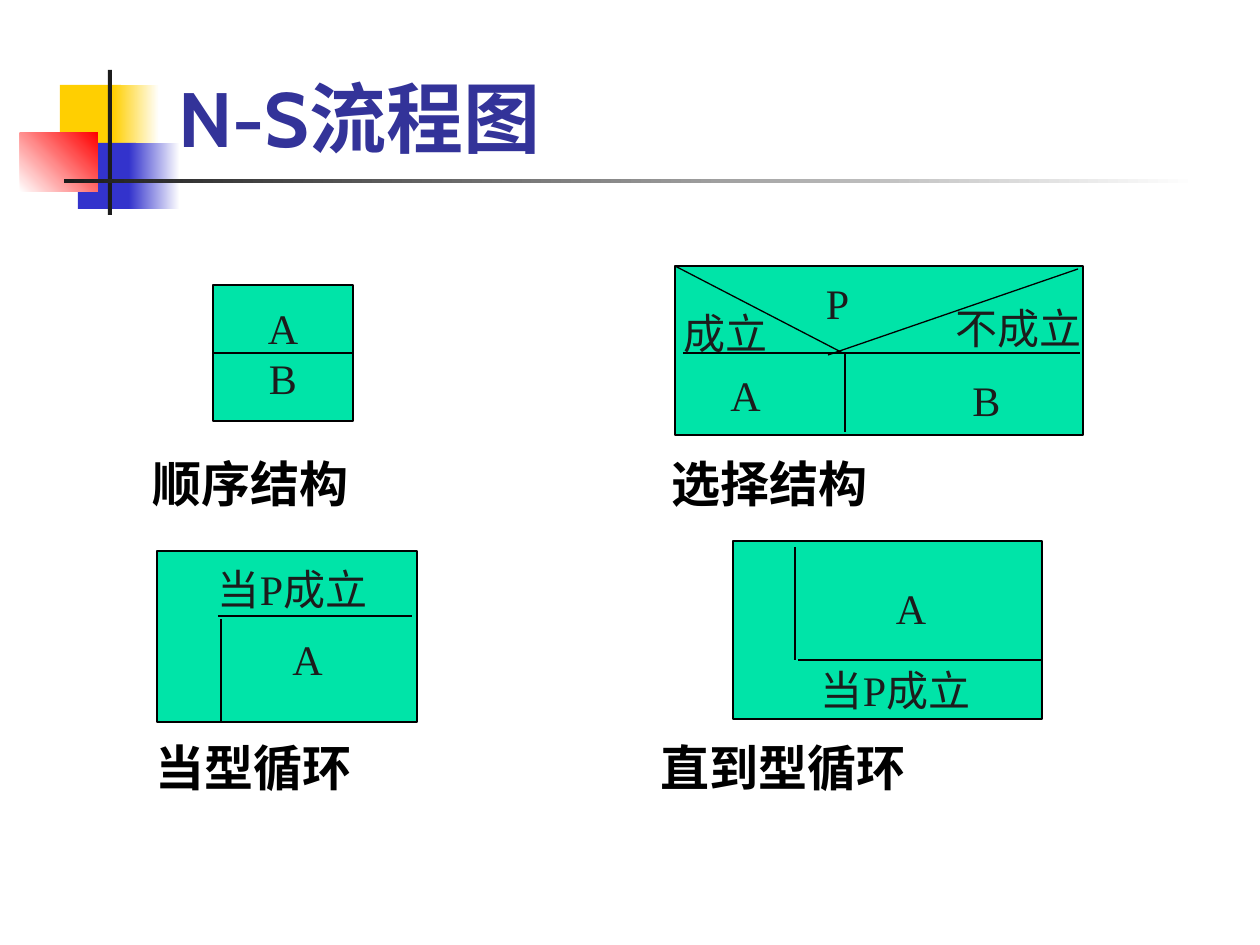
from pptx import Presentation
from pptx.dml.color import RGBColor
from pptx.enum.shapes import MSO_CONNECTOR, MSO_SHAPE
from pptx.enum.text import MSO_ANCHOR, PP_ALIGN
from pptx.util import Emu, Pt
from lxml.etree import SubElement
from pptx.oxml.ns import qn

SCALE = 914400 / 126
hue = RGBColor.from_string
deck = Presentation()
deck.slide_width, deck.slide_height = Emu(9144000), Emu(6858000)
slide = deck.slides.add_slide(deck.slide_layouts[6])
shapes = slide.shapes


def px(*sizes):
    return [Emu(round(size * SCALE)) for size in sizes]


def write(frame, lines, size, font, color, bold=False, align=PP_ALIGN.LEFT):
    for i, line in enumerate(lines):
        para = frame.paragraphs[0] if i == 0 else frame.add_paragraph()
        para.alignment = align
        run = para.add_run()
        run.text = line
        run.font.size = Pt(size)
        run.font.name = font
        run.font.bold = bold
        run.font.color.rgb = hue(color)


decor = [
    (60, 85, 61, 66, ["FFCF01"], 0),
    (113, 85, 46, 66, ["FFCF01", "FFFFFF"], 0),
    (78, 143, 58, 66, ["3333CC"], 0),
    (129, 143, 51, 66, ["3333CC", "FFFFFF"], 0),
    (20, 133, 78, 59, ["FFFFFF", "FF0000"], 45),
    (108, 70, 4, 145, ["1C1C1C"], 0),
    (64, 179, 1134, 4, ["1C1C1C", "FFFFFF"], 0),
]
for *place, colors, angle in decor:
    block = shapes.add_shape(MSO_SHAPE.RECTANGLE, *px(*place))
    block.shadow.inherit = False
    block.line.fill.background()
    if len(colors) == 1:
        block.fill.solid()
        block.fill.fore_color.rgb = hue(colors[0])
    else:
        block.fill.gradient()
        block.fill.gradient_angle = angle
        for stop, color in zip(block.fill.gradient_stops, colors):
            stop.color.rgb = hue(color)

title = shapes.add_textbox(*px(166, 49, 690, 120)).text_frame
title.word_wrap = True
title.vertical_anchor = MSO_ANCHOR.BOTTOM
write(title, ["N-S流程图"], 44, "Cabin", "333399", True)

captions = [
    (153, 448, "顺序结构"),
    (672, 448, "选择结构"),
    (156, 732, "当型循环"),
    (661, 732, "直到型循环"),
]
for left, top, words in captions:
    frame = shapes.add_textbox(*px(left, top, 300, 70)).text_frame
    frame.word_wrap = True
    frame.margin_left = frame.margin_right = 0
    frame.margin_top = frame.margin_bottom = 0
    frame.vertical_anchor = MSO_ANCHOR.MIDDLE
    write(frame, [words], 28, "Cabin", "000000", True)

charts = []
for place in [(213, 285, 140, 136), (675, 266, 408, 169),
              (157, 551, 260, 171), (733, 541, 309, 178)]:
    chart = shapes.add_shape(MSO_SHAPE.RECTANGLE, *px(*place))
    chart.shadow.inherit = False
    chart.fill.solid()
    chart.fill.fore_color.rgb = hue("00E4A8")
    chart.line.color.rgb = hue("000000")
    chart.line.width = Pt(0.75)
    charts.append(chart)

steps = charts[0].text_frame
steps.word_wrap = False
steps.vertical_anchor = MSO_ANCHOR.MIDDLE
write(steps, ["A", "B"], 24, "Times New Roman", "1C1C1C", align=PP_ALIGN.CENTER)

rules = [
    (213, 353, 353, 353),
    (683, 353, 1011, 353),
    (675, 266, 843, 353),
    (845, 353, 845, 432),
    (1078, 269, 828, 355),
    (1003, 353, 1080, 353),
    (218, 616, 412, 616),
    (221, 619, 221, 722),
    (795, 547, 795, 660),
    (798, 660, 1042, 660),
]
for i, ends in enumerate(rules):
    rule = shapes.add_connector(MSO_CONNECTOR.STRAIGHT, *px(*ends))
    rule.line.color.rgb = hue("000000")
    rule.line.width = Pt(0.75)
    SubElement(rule.line._get_or_add_ln().getparent(), qn("a:effectLst"))
    if i == 0:
        rule.begin_connect(charts[0], 1)
        rule.end_connect(charts[0], 3)

labels = [
    (786, 271, 103, "P"),
    (665, 301, 121, "成立"),
    (930, 296, 178, "不成立"),
    (694, 363, 103, "A"),
    (907, 368, 159, "B"),
    (168, 557, 249, "当P成立"),
    (252, 627, 111, "A"),
    (833, 576, 156, "A"),
    (759, 658, 273, "当P成立"),
]
for left, top, width, words in labels:
    frame = shapes.add_textbox(*px(left, top, width, 63)).text_frame
    frame.word_wrap = True
    write(frame, [words], 24, "Times New Roman", "1C1C1C", align=PP_ALIGN.CENTER)

deck.save("out.pptx")
